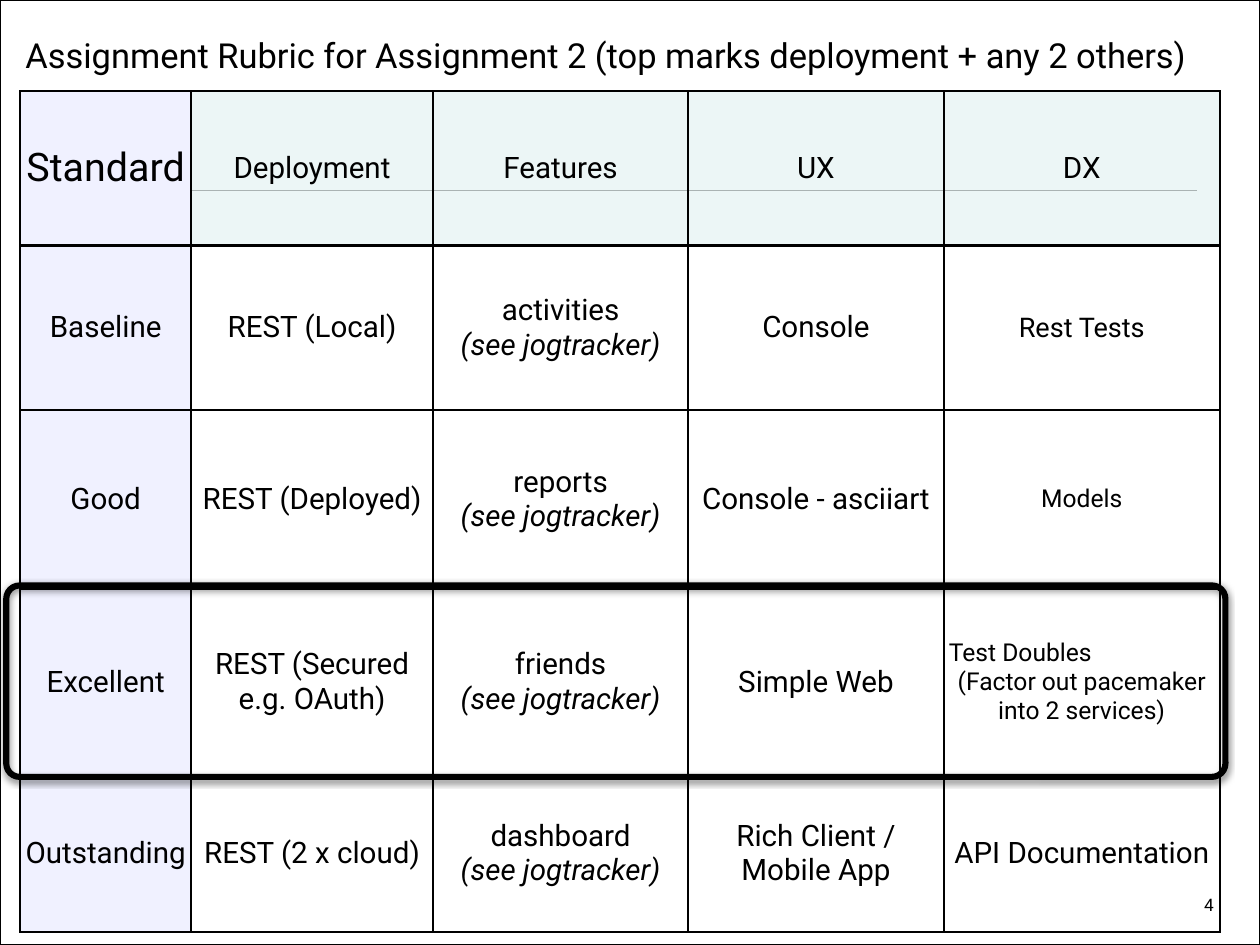
"""Build the rubric slide for Assignment 2."""
from lxml import etree
from pptx import Presentation
from pptx.dml.color import RGBColor
from pptx.enum.shapes import MSO_CONNECTOR, MSO_SHAPE
from pptx.enum.text import MSO_ANCHOR, PP_ALIGN
from pptx.oxml.ns import qn
from pptx.util import Cm, Pt

LEFT, MID, RIGHT = PP_ALIGN.LEFT, PP_ALIGN.CENTER, PP_ALIGN.RIGHT
TOP, CENTER, BASE = MSO_ANCHOR.TOP, MSO_ANCHOR.MIDDLE, MSO_ANCHOR.BOTTOM
RECT, ROUND = MSO_SHAPE.RECTANGLE, MSO_SHAPE.ROUNDED_RECTANGLE
STRAIGHT = MSO_CONNECTOR.STRAIGHT

COLORS = {"ink": "000000", "paper": "FFFFFF", "rule": "9A9A9A",
          "label": "F0F1FF", "head": "C9E5E5"}
FONT = "Roboto"
PAD = Cm(0.15)
WIDTH, HEIGHT = 36.12, 27.1
COLS = [4.9, 6.93, 7.32, 7.32, 7.92]
ROWS = [4.42, 4.72, 5.13, 5.33, 4.5]
HINT = "(see jogtracker)"
RUBRIC = [
    ["Standard", "Deployment", "Features", "UX", "DX"],
    ["Baseline", "REST (Local)", f"activities\n{HINT}", "Console", "Rest Tests"],
    ["Good", "REST (Deployed)", f"reports\n{HINT}", "Console - asciiart", "Models"],
    ["Excellent", "REST (Secured e.g. OAuth)", f"friends\n{HINT}", "Simple Web",
     "Test Doubles\n(Factor out pacemaker into 2 services)"],
    ["Outstanding", "REST (2 x cloud)", f"dashboard\n{HINT}",
     "Rich Client / Mobile App", "API Documentation"],
]
SIZES = {"Standard": 32, "Rest Tests": 22, "Models": 20, RUBRIC[3][4]: 20}


def rgb(name):
    """Return the named colour."""
    return RGBColor.from_string(COLORS[name])


def node(parent, tag, **attrs):
    """Append an XML element with the given attributes."""
    return etree.SubElement(parent, qn(tag), {k: str(v) for k, v in attrs.items()})


def write(frame, text, size=24, align=MID, spacing=None):
    """Write one paragraph per line of text; the hint is set in italics."""
    for i, line in enumerate(text.split("\n")):
        para = frame.paragraphs[0] if i == 0 else frame.add_paragraph()
        para.alignment = LEFT if line == "Test Doubles" else align
        para.line_spacing = spacing
        run = para.add_run()
        run.text = line
        font = run.font
        font.name, font.size = FONT, Pt(size)
        font.color.rgb = rgb("ink")
        font.bold, font.italic = False, line == HINT


def pad(item):
    """Give a cell or text frame equal margins."""
    item.margin_left = item.margin_right = PAD
    item.margin_top = item.margin_bottom = PAD


def label(slide, box, text, anchor=TOP, wrap=True, **style):
    """Place a text box."""
    frame = slide.shapes.add_textbox(*map(Cm, box)).text_frame
    frame.word_wrap, frame.vertical_anchor = wrap, anchor
    pad(frame)
    write(frame, text, **style)


def panel(slide, box, kind, weight):
    """Place an outlined shape without fill or shadow."""
    shape = slide.shapes.add_shape(kind, *map(Cm, box))
    shape.shadow.inherit = False
    shape.fill.background()
    shape.line.color.rgb = rgb("ink")
    shape.line.width = Pt(weight)
    return shape


def backdrop(slide, box):
    """Draw the page frame and the grey rule behind the header."""
    x, y, w, h = box
    page = panel(slide, box, RECT, 1)
    page.fill.solid()
    page.fill.fore_color.rgb = rgb("paper")
    rule = slide.shapes.add_connector(
        STRAIGHT, Cm(x + 1.8), Cm(y + 5.46), Cm(x + w - 1.8), Cm(y + 5.46))
    rule.line.color.rgb = rgb("rule")
    rule.line.width = Pt(1)
    node(rule.element.spPr, "a:effectLst")


def border(cell):
    """Rule all four sides of a cell."""
    props = cell._tc.get_or_add_tcPr()
    for side in "LRTB":
        line = node(props, f"a:ln{side}", w=Pt(2))
        node(node(line, "a:solidFill"), "a:srgbClr", val=COLORS["ink"])


def shade(cell, row, col):
    """Fill a label or header cell and leave the others clear."""
    if row and col:
        cell.fill.background()
        return
    cell.fill.solid()
    cell.fill.fore_color.rgb = rgb("head" if col else "label")
    if col:
        color = cell._tc.tcPr.find(".//" + qn("a:srgbClr") + "[@val='C9E5E5']")
        node(color, "a:alpha", val=34000)


def grid(slide, box):
    """Draw the rubric table, sharing the box out by column and row weights."""
    w, h = box[2:]
    table = slide.shapes.add_table(len(ROWS), len(COLS), *map(Cm, box)).table
    table.first_row = table.horz_banding = False
    for col, part in zip(table.columns, COLS):
        col.width = Cm(w * part / sum(COLS))
    for row, part in zip(table.rows, ROWS):
        row.height = Cm(h * part / sum(ROWS))
    for r, texts in enumerate(RUBRIC):
        for c, text in enumerate(texts):
            cell = table.cell(r, c)
            cell.vertical_anchor = CENTER
            pad(cell)
            border(cell)
            shade(cell, r, c)
            write(cell.text_frame, text, size=SIZES.get(text, 24))


def marker(slide, box):
    """Ring the Excellent row with a shadowed outline."""
    ring = panel(slide, box, ROUND, 5)
    ring.adjustments[0] = 0.07
    effects = ring.element.spPr.find(qn("a:effectLst"))
    shadow = node(effects, "a:outerShdw", blurRad=Pt(5), dist=Pt(2),
                  dir=90 * 60000, rotWithShape=0)
    node(node(shadow, "a:srgbClr", val=COLORS["ink"]), "a:alpha", val=50000)


def main():
    """Build and save the slide."""
    deck = Presentation()
    deck.slide_width, deck.slide_height = Cm(WIDTH), Cm(HEIGHT)
    slide = deck.slides.add_slide(deck.slide_layouts[6])
    backdrop(slide, (0, 0, WIDTH, HEIGHT))
    label(slide, (0.58, -1.02, 34.95, 3.33),
          "Assignment Rubric for Assignment 2 (top marks deployment + any 2 others)",
          anchor=BASE, size=28, align=LEFT)
    grid(slide, (0.58, 2.62, 34.39, 24.1))
    label(slide, (34.09, 25.55, 0.86, 0.84), "4", wrap=False,
          size=14, align=RIGHT, spacing=0.9)
    marker(slide, (0.18, 16.79, 34.95, 5.49))
    deck.save("out.pptx")


if __name__ == "__main__":
    main()
